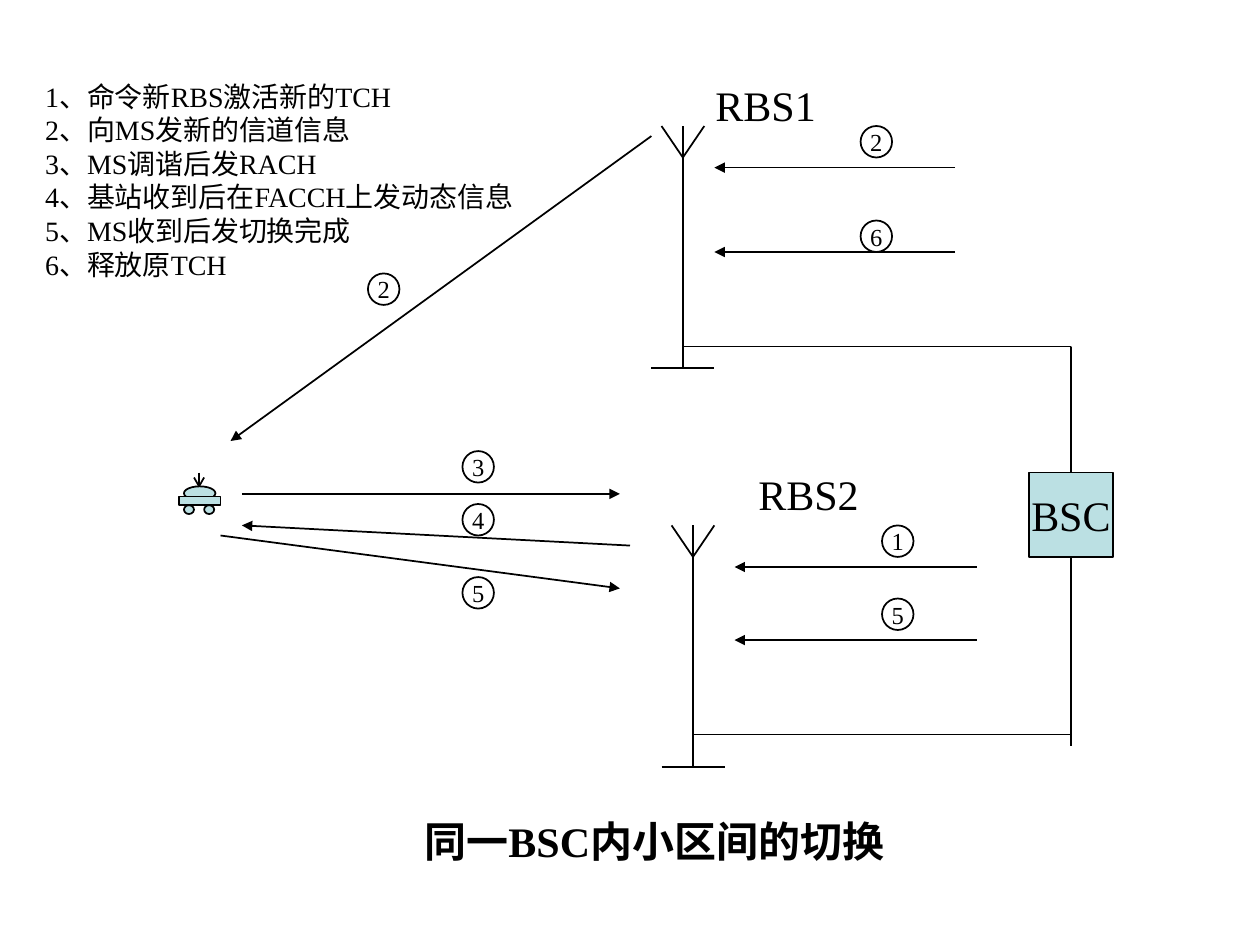
from lxml import etree
from pptx import Presentation, util as u
from pptx.dml import color
from pptx.enum import shapes, text
from pptx.oxml import ns

Inches = u.Inches
SHAPE = shapes.MSO_SHAPE
COLORS = {name: color.RGBColor.from_string(value) for name, value in {
    "black": "000000", "white": "FFFFFF", "teal": "BBE0E3"}.items()}
FONT = "Times New Roman"

presentation = Presentation()
presentation.slide_width, presentation.slide_height = Inches(10), Inches(7.5)
slide = presentation.slides.add_slide(presentation.slide_layouts[6])


def add_line(parent, start, end, arrow=False):
    points = [Inches(value) for value in (*start, *end)]
    line = parent.shapes.add_connector(shapes.MSO_CONNECTOR.STRAIGHT, *points)
    line.line.color.rgb = COLORS["black"]
    line.line.width = u.Pt(1)
    if arrow:
        etree.SubElement(line.line._get_or_add_ln(), ns.qn("a:tailEnd"), type="triangle")
    etree.SubElement(line._element.spPr, ns.qn("a:effectLst"))
    return line


def add_solid(parent, kind, box, fill):
    shape = parent.shapes.add_shape(kind, *(Inches(value) for value in box))
    shape.shadow.inherit = False
    shape.fill.solid()
    shape.fill.fore_color.rgb = COLORS[fill]
    shape.line.color.rgb = COLORS["black"]
    shape.line.width = u.Pt(1)
    return shape


# Antennas of the two base stations: mast, two arms, foot
for x, top in ((5.42, 1), (5.5, 4.17)):
    antenna = slide.shapes.add_group_shape()
    foot = top + 1.92
    add_line(antenna, (x, top), (x, foot))
    for side in (-1, 1):
        add_line(antenna, (x + side * 0.17, top), (x, top + 0.25))
    add_line(antenna, (x - 0.25, foot), (x + 0.25, foot))

# Controller and its links to both stations
bsc_x = 8.5
bsc = add_solid(slide, SHAPE.RECTANGLE, (bsc_x - 0.335, 3.75, 0.67, 0.67), "teal")
add_line(slide, (5.42, 2.75), (bsc_x, 2.75))
add_line(slide, (bsc_x, 2.75), (bsc_x, 3.75)).end_connect(bsc, 0)
add_line(slide, (5.5, 5.83), (bsc_x, 5.83))
add_line(slide, (bsc_x, 4.42), (bsc_x, 5.92)).begin_connect(bsc, 2)

# Mobile station: car with a small aerial
car = slide.shapes.add_group_shape()
for kind, box in (
    (SHAPE.OVAL, (1.46, 3.86, 0.25, 0.11)),
    (SHAPE.RECTANGLE, (1.42, 3.94, 0.33, 0.07)),
    (SHAPE.OVAL, (1.46, 4.01, 0.08, 0.07)),
    (SHAPE.OVAL, (1.62, 4.01, 0.08, 0.07)),
):
    add_solid(car, kind, box, "teal")
for tip in ((1.58, 3.75), (1.54, 3.79), (1.62, 3.79)):
    add_line(car, tip, (1.58, 3.86))

# Signalling arrows, drawn in the direction of travel
for start, end in (
    ((7.75, 4.5), (5.83, 4.5)),
    ((7.75, 5.08), (5.83, 5.08)),
    ((7.58, 1.33), (5.67, 1.33)),
    ((7.58, 2), (5.67, 2)),
    ((5.17, 1.08), (1.83, 3.5)),
    ((1.92, 3.92), (4.92, 3.92)),
    ((5, 4.33), (1.92, 4.17)),
    ((1.75, 4.25), (4.92, 4.67)),
):
    add_line(slide, start, end, arrow=True)

# Numbered step markers
labels = [(bsc, ["BSC"], 24)]
for number, left, top in (
    ("1", 7, 4.17), ("2", 6.83, 1), ("2", 2.92, 2.17), ("3", 3.67, 3.58),
    ("4", 3.67, 4), ("5", 3.67, 4.58), ("5", 7, 4.75), ("6", 6.83, 1.75),
):
    marker = add_solid(slide, SHAPE.OVAL, (left, top, 0.25, 0.25), "white")
    labels.append((marker, [number], 14))

# Station names, title and list of steps
title = "同一BSC内小区间的切换"
steps = [
    "1、命令新RBS激活新的TCH",
    "2、向MS发新的信道信息",
    "3、MS调谐后发RACH",
    "4、基站收到后在FACCH上发动态信息",
    "5、MS收到后发切换完成",
    "6、释放原TCH",
]
for lines, size, box in (
    (["RBS1"], 24, (5.58, 0.58, 1.02, 0.5)),
    (["RBS2"], 24, (5.92, 3.67, 1.02, 0.5)),
    ([title], 24, (3.27, 6.42, 4.01, 0.5)),
    (steps, 16, (0.26, 0.58, 4.09, 1.7)),
):
    text_box = slide.shapes.add_textbox(*(Inches(value) for value in box))
    text_box.text_frame.auto_size = text.MSO_AUTO_SIZE.SHAPE_TO_FIT_TEXT
    if lines == [title]:
        text_box.fill.solid()
        text_box.fill.fore_color.rgb = COLORS["white"]
    labels.append((text_box, lines, size))

# Write all the text
for shape, lines, size in labels:
    frame = shape.text_frame
    frame.word_wrap = False
    is_box = shape.shape_type == shapes.MSO_SHAPE_TYPE.TEXT_BOX
    frame.vertical_anchor = text.MSO_ANCHOR.TOP if is_box else text.MSO_ANCHOR.MIDDLE
    for index, line in enumerate(lines):
        paragraph = frame.add_paragraph() if index else frame.paragraphs[0]
        paragraph.alignment = text.PP_ALIGN.LEFT if is_box else text.PP_ALIGN.CENTER
        run = paragraph.add_run()
        run.text = line
        run.font.name = FONT
        run.font.size = u.Pt(size)
        run.font.bold = line == title
        run.font.color.rgb = COLORS["black"]

presentation.save("out.pptx")
